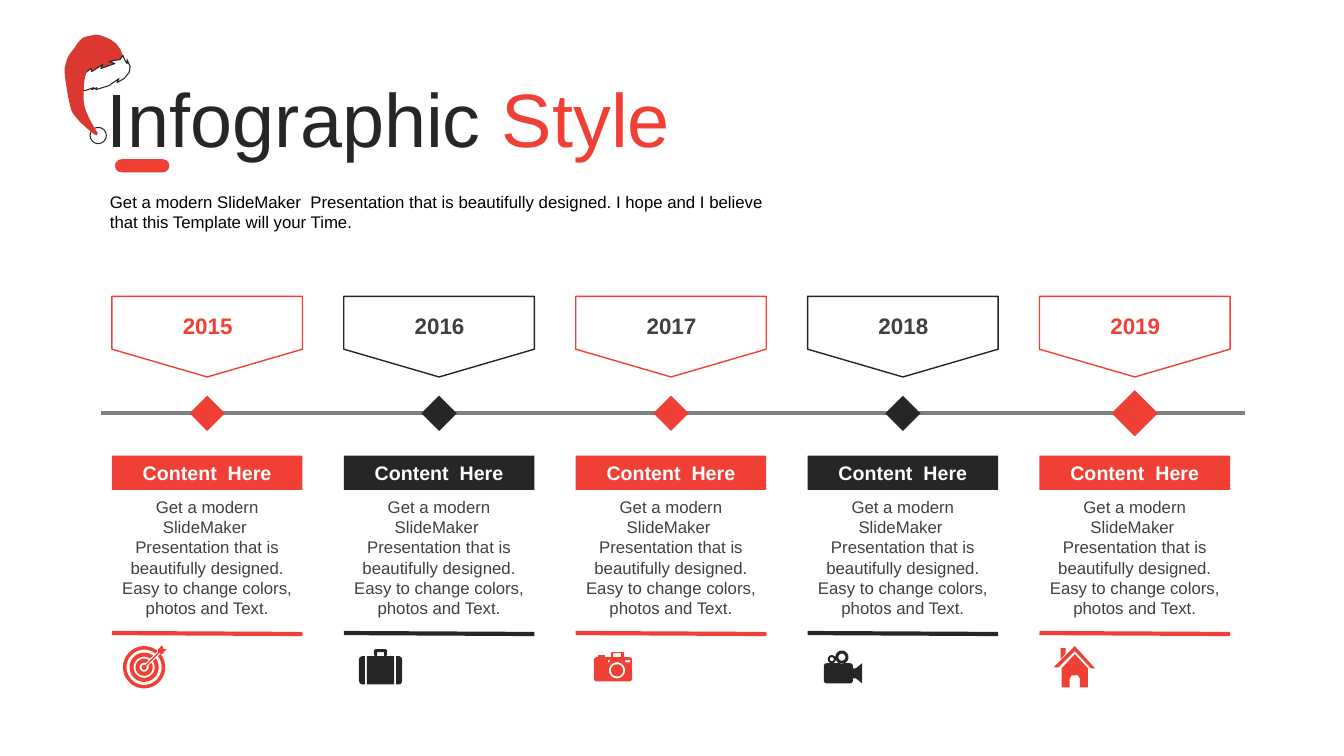
import math
from dataclasses import dataclass

import lxml.etree
import pptx
import pptx.dml.color
import pptx.enum.shapes
import pptx.enum.text
import pptx.oxml.ns
import pptx.util

Inches = pptx.util.Inches
SHAPE = pptx.enum.shapes.MSO_SHAPE
ALIGN = pptx.enum.text.PP_ALIGN
ANCHOR = pptx.enum.text.MSO_ANCHOR


@dataclass(frozen=True)
class Theme:
    font: str = "Arial"
    red: str = "F04036"
    dark: str = "262626"
    hat: str = "DC3832"
    grey: str = "404040"
    axis: str = "808080"
    white: str = "FFFFFF"
    black: str = "000000"
    title: int = 54
    year: int = 16
    header: int = 14
    body: int = 12


T = Theme()


def rgb(value):
    return pptx.dml.color.RGBColor.from_string(value)


def apply(obj, values):
    for key, value in values.items():
        setattr(obj, key, value)


def write(sp, runs, size, bold=False, align=ALIGN.CENTER, anchor=ANCHOR.TOP):
    tf = sp.text_frame
    apply(tf, {"word_wrap": True, "vertical_anchor": anchor,
               "auto_size": pptx.enum.text.MSO_AUTO_SIZE.NONE})
    p = tf.paragraphs[0]
    apply(p, {"alignment": align, "space_before": pptx.util.Pt(0)})
    for text, color in runs:
        r = p.add_run()
        r.text = text
        apply(r.font, {"name": T.font, "size": pptx.util.Pt(size), "bold": bold})
        r.font.color.rgb = rgb(color)
    return p


def paint(sp, fill, line=None, width=1):
    sp.shadow.inherit = False
    sp.fill.solid()
    sp.fill.fore_color.rgb = rgb(fill)
    if line:
        sp.line.color.rgb = rgb(line)
        sp.line.width = pptx.util.Pt(width)
    else:
        sp.line.fill.background()


def add_shape(slide, kind, box, fill, line=None):
    sp = slide.shapes.add_shape(kind, *map(Inches, box))
    paint(sp, fill, line)
    return sp


def add_text(slide, box, text, color, size, bold=False):
    sp = slide.shapes.add_textbox(*map(Inches, box))
    write(sp, [(text, color)], size, bold)


def add_line(slide, x1, y1, x2, y2, color):
    kind = pptx.enum.shapes.MSO_CONNECTOR.STRAIGHT
    cn = slide.shapes.add_connector(kind, *map(Inches, (x1, y1, x2, y2)))
    cn.line.color.rgb = rgb(color)
    cn.line.width = pptx.util.Pt(3)
    sp_pr = cn._element.spPr
    lxml.etree.SubElement(sp_pr, pptx.oxml.ns.qn("a:effectLst"))


def add_outline(slide, left, top, contours, fill, line=None):
    fb = None
    for points in contours:
        pts = [(Inches(x / 100), Inches(y / 100)) for x, y in points]
        if fb is None:
            fb = slide.shapes.build_freeform(*pts[0])
        else:
            fb.move_to(*pts[0])
        fb.add_line_segments(pts[1:], close=True)
    paint(fb.convert_to_shape(Inches(left), Inches(top)), fill, line, 0.75)


def arc(cx, cy, r, start=0, end=360, n=32):
    angles = [math.radians(start + (end - start) * i / n) for i in range(n + 1)]
    return [(cx + r * math.cos(a), cy + r * math.sin(a)) for a in angles]


def rounded(x, y, w, h, r=0):
    corners = [(x + w - r, y + h - r), (x + r, y + h - r), (x + r, y + r), (x + w - r, y + r)]
    return [pt for i, (cx, cy) in enumerate(corners)
            for pt in (arc(cx, cy, r, 90 * i, 90 * i + 90, 6) if r else [(cx, cy)])]


def split_ring(cx, cy, outer, inner):
    a, b = (math.degrees(math.asin(2 / r)) for r in (outer, inner))
    return arc(cx, cy, outer, a - 45, 315 - a) + arc(cx, cy, inner, 315 - b, b - 45)


def curve(start, *segments):
    pts = [start]
    for x1, y1, x2, y2, x3, y3 in segments:
        x0, y0 = pts[-1]
        for i in range(1, 11):
            t = i / 10
            w = (1 - t) ** 3, 3 * t * (1 - t) ** 2, 3 * t * t * (1 - t), t ** 3
            pts.append((sum(k * v for k, v in zip(w, (x0, x1, x2, x3))),
                        sum(k * v for k, v in zip(w, (y0, y1, y2, y3)))))
    return pts


CASE_SIDE = [(6, 7), (3, 7), (1, 8), (0, 10), (0, 31), (1, 34), (3, 35), (6, 35)]
TARGET = [split_ring(21, 22, outer, inner) for outer, inner in ((21, 17.5), (14.5, 10.5), (8.5, 4.5))] + [
    arc(21, 22, 2.5),
    [(39, 0), (40, 4), (43, 4), (39, 9), (36, 8), (23.3, 20.7), (22.3, 19.7), (35, 7), (35, 4)]]
SUITCASE = [CASE_SIDE, [(43 - x, y) for x, y in CASE_SIDE], rounded(8, 7, 27, 28),
            rounded(15, 0, 13, 7, 2), rounded(18, 3, 7, 4)]
CAMERA = [rounded(0, 5, 38, 24, 3), arc(23, 18, 8), arc(23, 18, 6), rounded(14, 8, 2, 2),
          rounded(31, 8, 5, 2), rounded(17, 0, 13, 5, 1), rounded(19, 1, 8, 4), rounded(4, 3, 7, 2)]
FILM = [rounded(0, 13, 29, 20, 3), arc(18, 7, 6.5), arc(18, 7, 3.5), arc(8, 9, 4), arc(8, 9, 2),
        [(29, 18), (32, 18), (38, 13), (38, 33), (32, 28), (29, 28)]]
HOUSE = [[(21, 8), (34, 22), (34, 41), (26, 41), (26, 32), (24, 29), (18, 29), (16, 32),
          (16, 41), (8, 41), (8, 22)], [(7, 2), (12, 2), (12, 7), (7, 13)],
         [(21, 0), (41, 22), (37, 22), (21, 5), (5, 21), (0, 21)]]

HAT_CROWN = curve((9, 43), (8, 42, 6, 41, 5, 40), (4, 32, 8, 24, 13, 19), (17, 13, 20, 7, 27, 6),
                  (34, 5, 34, 3, 42, 6), (51, 9, 59, 14, 62, 26), (57, 31, 51, 36, 45, 41),
                  (38, 41, 29, 41, 23, 42), (18, 42, 15, 42, 9, 43))
HAT_TAIL = curve((32, 102), (32, 102, 15, 89, 11, 80), (8, 71, 4, 47, 4, 38), (5, 28, 27, 17, 31, 18),
                 (36, 18, 29, 36, 26, 42), (23, 47, 23, 60, 23, 69), (23, 79, 31, 93, 37, 102),
                 (36, 103, 38, 107, 32, 102))
HAT_TRIM = [(66, 29), (66, 33), (64, 30), (62, 25), (59, 29), (48, 31), (54, 33), (40, 38), (42, 34),
            (31, 41), (30, 38), (24, 43), (27, 40), (15, 43), (8, 40), (9, 49), (7, 48), (14, 58),
            (12, 57), (14, 60), (24, 60), (33, 57), (31, 59), (36, 57), (35, 59), (48, 55),
            (58, 48), (56, 52), (63, 48), (68, 42), (69, 36)]


def add_hat(slide, left, top):
    add_outline(slide, left, top, [HAT_CROWN], T.hat)
    add_outline(slide, left, top, [arc(37.5, 104.5, 8)], T.white, T.dark)
    add_outline(slide, left, top, [HAT_TRIM], T.white, T.dark)
    add_outline(slide, left, top, [HAT_TAIL], T.hat)


def add_heading(slide, left, top, width):
    title, body = slide.shapes.title, slide.placeholders[1]
    for sp, x, y, w, h in ((title, left, top, width, 1.01),
                           (body, left + 0.03, top + 1.19, width - 0.03, 0.5)):
        apply(sp, {"left": Inches(x), "top": Inches(y), "width": Inches(w), "height": Inches(h)})
    write(title, [("Infographic", T.dark), (" Style", T.red)], T.title,
          align=ALIGN.LEFT, anchor=ANCHOR.MIDDLE)
    p = write(body, [("Get a modern SlideMaker  Presentation that is beautifully designed. "
                      "I hope and I believe that this Template will your Time.", T.black)],
              T.body, align=ALIGN.LEFT)
    p_pr = p._p.get_or_add_pPr()
    for key in ("marL", "indent"):
        p_pr.set(key, "0")
    lxml.etree.SubElement(p_pr, pptx.oxml.ns.qn("a:buNone"))
    add_hat(slide, left - 0.36, top - 0.36)
    bar = add_shape(slide, SHAPE.ROUNDED_RECTANGLE, (left + 0.18, top + 0.92, 0.54, 0.13), T.red)
    bar.adjustments[0] = 0.5


def add_milestone(slide, left, top, width, year, color, year_color, diamond, icon, icon_dx, icon_dy):
    mid = left + width / 2
    tag = add_shape(slide, SHAPE.PENTAGON, (mid - 0.4, top + 0.4 - width / 2, 0.8, width), T.white, color)
    tag.rotation = 90
    tag.adjustments[0] = 0.344
    add_text(slide, (mid - 0.46, top + 0.11, 0.93, 0.37), year, year_color, T.year, True)
    add_shape(slide, SHAPE.DIAMOND, (mid - diamond / 2, top + 1.16 - diamond / 2, diamond, diamond), color)
    header = add_shape(slide, SHAPE.RECTANGLE, (left, top + 1.58, width, 0.34), color)
    write(header, [("Content  Here", T.white)], T.header, True, anchor=ANCHOR.MIDDLE)
    add_text(slide, (left, top + 1.94, width, 1.31),
             "Get a modern SlideMaker  Presentation that is beautifully designed. "
             "Easy to change colors, photos and Text.", T.grey, T.body)
    add_line(slide, left, top + 3.34, left + width, top + 3.35, color)
    add_outline(slide, left + icon_dx, top + icon_dy, icon, color)


def add_timeline(slide, left, top, pitch, width):
    add_line(slide, left - 0.11, top + 1.16, left + 11.24, top + 1.16, T.axis)
    milestones = [
        ("2015", T.red, T.red, 0.35, TARGET, 0.11, 3.46),
        ("2016", T.dark, T.grey, 0.35, SUITCASE, 0.15, 3.5),
        ("2017", T.red, T.grey, 0.35, CAMERA, 0.18, 3.53),
        ("2018", T.dark, T.grey, 0.35, FILM, 0.16, 3.51),
        ("2019", T.red, T.red, 0.46, HOUSE, 0.14, 3.47),
    ]
    for i, milestone in enumerate(milestones):
        add_milestone(slide, left + i * pitch, top, width, *milestone)


def main():
    prs = pptx.Presentation()
    prs.slide_width, prs.slide_height = Inches(13.33), Inches(7.5)
    slide = prs.slides.add_slide(prs.slide_layouts[1])
    add_heading(slide, 0.96, 0.66, 6.77)
    add_timeline(slide, 1.11, 2.94, 2.3, 1.89)
    prs.save("out.pptx")


if __name__ == "__main__":
    main()
